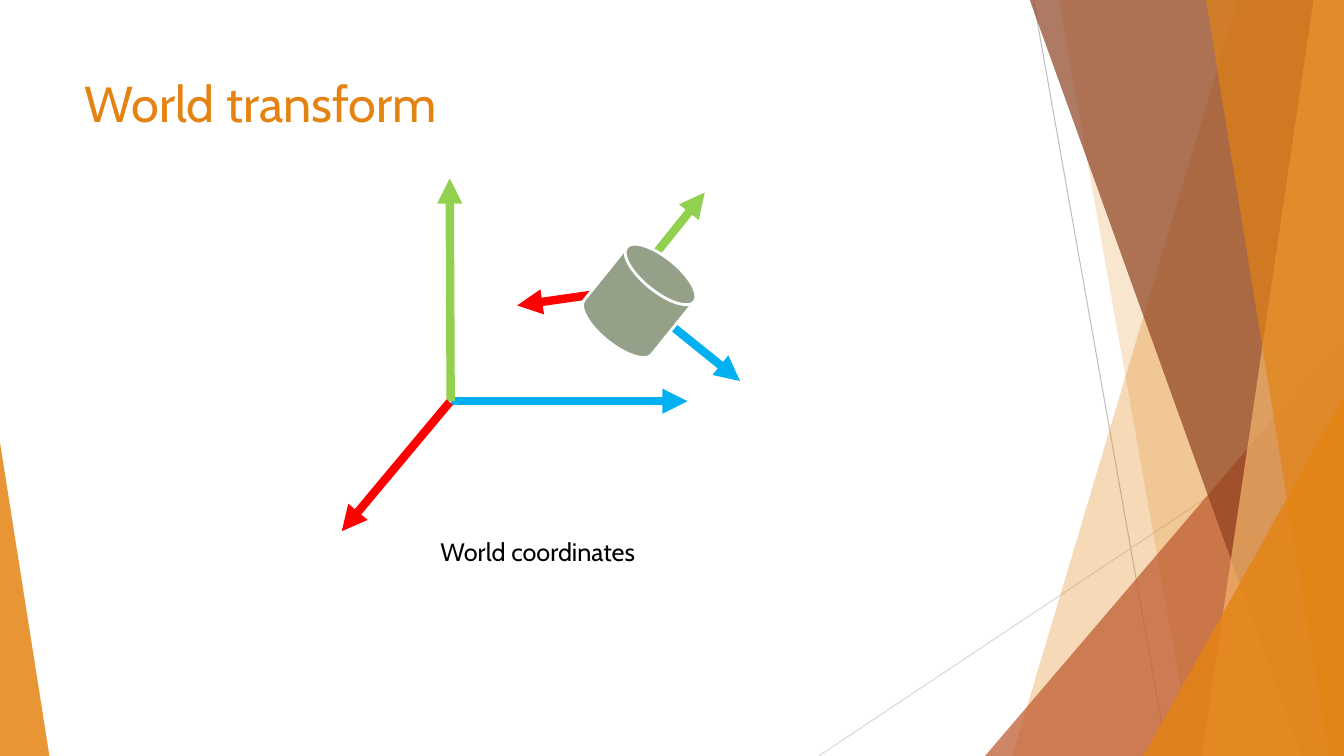
from lxml import etree
from pptx import Presentation
from pptx.dml.color import RGBColor
from pptx.enum.shapes import MSO_CONNECTOR, MSO_SHAPE
from pptx.enum.text import MSO_ANCHOR
from pptx.oxml.ns import qn
from pptx.util import Inches, Pt

STRAIGHT = MSO_CONNECTOR.STRAIGHT
WEDGE = MSO_SHAPE.ISOSCELES_TRIANGLE
DISK = MSO_SHAPE.FLOWCHART_MAGNETIC_DISK
TOP = MSO_ANCHOR.TOP
WIDE, HIGH = 13.33, 7.5
ORANGE, BLUE, GREEN, RED = "E48312", "00B0F0", "92D050", "FF0000"

deck = Presentation()
deck.slide_width, deck.slide_height = Inches(WIDE), Inches(HIGH)
slide = deck.slides.add_slide(deck.slide_layouts[6])
shapes = slide.shapes


def tint(shape, color, alpha):
    """Fill a shape with a see-through colour (alpha in percent), no outline."""
    shape.shadow.inherit = False
    shape.line.fill.background()
    shape.fill.solid()
    shape.fill.fore_color.rgb = RGBColor.from_string(color)
    node = shape.fill._xPr.find(".//" + qn("a:srgbClr"))
    etree.SubElement(node, qn("a:alpha"), val=str(alpha * 1000))


def rule(start, end, color, width, head=False):
    """Draw a straight line, with an arrowhead at its end if asked."""
    line = shapes.add_connector(STRAIGHT, *map(Inches, start + end))
    line.line.color.rgb = RGBColor.from_string(color)
    line.line.width = Pt(width)
    if head:
        etree.SubElement(line.line._get_or_add_ln(), qn("a:tailEnd"), type="triangle")
    etree.SubElement(line._element.spPr, qn("a:effectLst"))


# Backdrop
rule((10.25, 0), (11.58, HIGH), "BFBFBF", 0.75)
rule((WIDE, 4.03), (8.12, HIGH), "D9D9D9", 0.75)

# A band runs from its top x and bottom x to the right edge;
# a wedge fills the lower right corner from its left x and top y.
facets = [
    ("band", 12.28, 10.04, ORANGE, 30),
    ("band", 10.5, 11.83, ORANGE, 20),
    ("wedge", 9.77, 3.33, "BD582C", 72),
    ("band", 10.21, 12.91, "8E4221", 70),
    ("band", 13.03, 11.92, "F3B56C", 70),
    ("band", 11.96, 13.18, ORANGE, 65),
    ("wedge", 11.34, 3.93, ORANGE, 80),
]
for kind, a, b, color, alpha in facets:
    if kind == "band":
        edge = [(WIDE, -0.01), (WIDE, HIGH), (b, HIGH)]
        pen = shapes.build_freeform(Inches(a), Inches(-0.01))
        pen.add_line_segments([(Inches(x), Inches(y)) for x, y in edge])
        facet = pen.convert_to_shape()
    else:
        facet = shapes.add_shape(WEDGE, *map(Inches, (a, b, WIDE - a, HIGH - b)))
        facet.adjustments[0] = 1
    tint(facet, color, alpha)

corner = shapes.add_shape(WEDGE, *map(Inches, (0, 4.39, 0.49, 3.11)))
corner.adjustments[0] = 0
tint(corner, ORANGE, 85)

# World axes, then the axes of the turned object
axes = [
    ((4.47, 3.98), (6.82, 3.98), BLUE),
    ((4.47, 3.98), (4.46, 1.77), GREEN),
    ((4.46, 3.99), (3.39, 5.27), RED),
    ((6.25, 2.9), (7.34, 3.78), BLUE),
    ((6.21, 2.88), (6.99, 1.91), GREEN),
    ((6.25, 2.87), (5.13, 3.03), RED),
]
for start, end, color in axes:
    rule(start, end, color, 6, head=True)

disk = shapes.add_shape(DISK, *map(Inches, (5.91, 2.48, 0.86, 1.01)))
disk.rotation = 38.9
disk.shadow.inherit = False
disk.fill.solid()
disk.fill.fore_color.rgb = RGBColor.from_string("94A088")
disk.line.color.rgb = RGBColor.from_string("FFFFFF")
disk.line.width = Pt(2)

# Title and caption
labels = [
    ("World transform", (0.74, 0.67, 9.4, 1.44), 36, ORANGE, True),
    ("World coordinates", (4.27, 5.27, 2.24, 0.4), 18, "000000", False),
]
for text, place, size, color, wrap in labels:
    frame = shapes.add_textbox(*map(Inches, place)).text_frame
    frame.word_wrap = wrap
    frame.vertical_anchor = TOP
    frame.text = text
    font = frame.paragraphs[0].font
    font.name, font.size = "Cabin", Pt(size)
    font.color.rgb = RGBColor.from_string(color)

deck.save("out.pptx")
